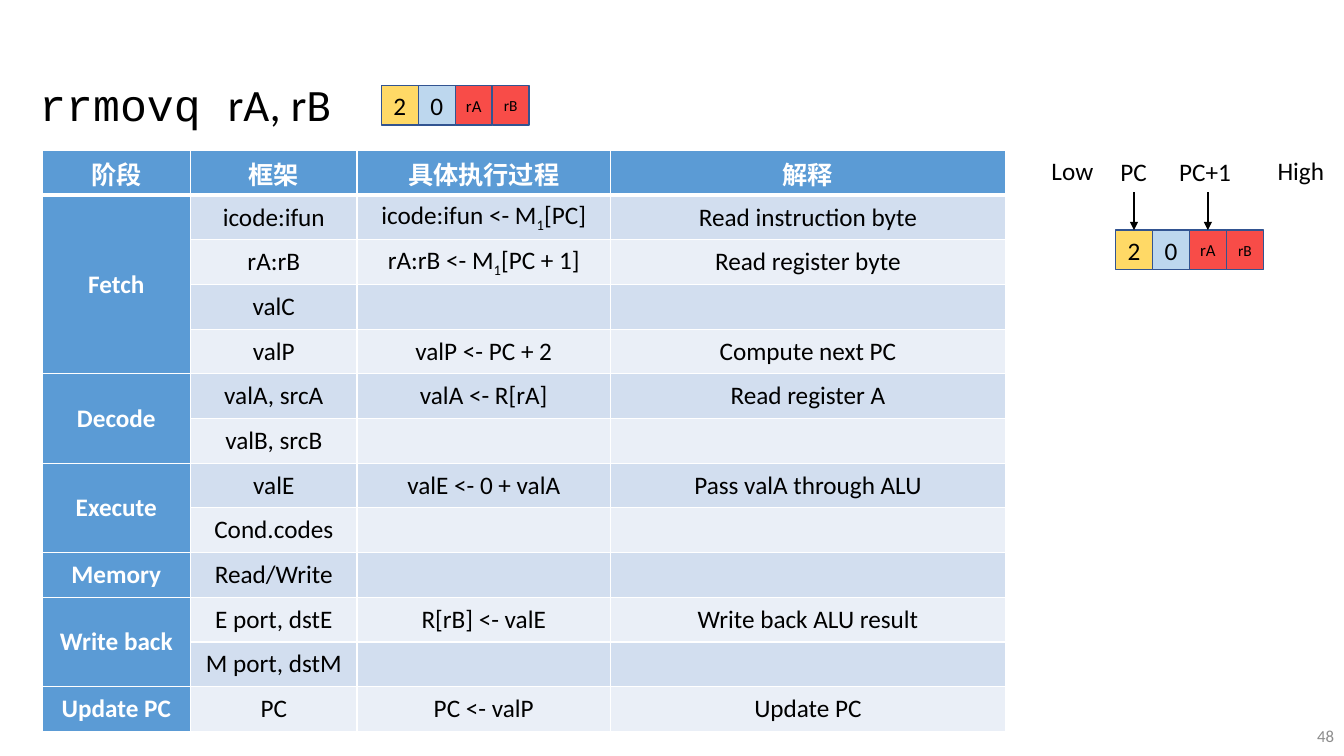
from lxml.etree import SubElement
from pptx import Presentation
from pptx.dml.color import RGBColor
from pptx.enum.shapes import MSO_CONNECTOR, MSO_SHAPE
from pptx.enum.text import MSO_ANCHOR, MSO_AUTO_SIZE, PP_ALIGN
from pptx.oxml.ns import qn
from pptx.util import Inches, Pt

STAGES = [
    ("Fetch", [
        ("icode:ifun", "icode:ifun <- M_1_[PC]", "Read instruction byte"),
        ("rA:rB", "rA:rB <- M_1_[PC + 1]", "Read register byte"),
        ("valC", "", ""),
        ("valP", "valP <- PC + 2", "Compute next PC")]),
    ("Decode", [
        ("valA, srcA", "valA <- R[rA]", "Read register A"),
        ("valB, srcB", "", "")]),
    ("Execute", [
        ("valE", "valE <- 0 + valA", "Pass valA through ALU"),
        ("Cond.codes", "", "")]),
    ("Memory", [("Read/Write", "", "")]),
    ("Write back", [
        ("E port, dstE", "R[rB] <- valE", "Write back ALU result"),
        ("M port, dstM", "", "")]),
    ("Update PC", [("PC", "PC <- valP", "Update PC")]),
]
HEADS = [("阶段", "Calibri"), ("框架", "Calibri"),
         ("具体执行过程", "Courier New"), ("解释", "Calibri")]
BYTES = [("2", "FFD966", 18), ("0", "BDD7EE", 18),
         ("rA", "F84C48", 12), ("rB", "F84C48", 11)]
BLUE, BANDS = "5B9BD5", ("EAEFF7", "D2DEEF")


def paint(hue):
    return RGBColor.from_string(hue)


def write(frame, text, size=18, font="Calibri", hue="000000", bold=False, align=PP_ALIGN.LEFT):
    line = frame.paragraphs[0]
    line.alignment = align
    for spot, part in enumerate(text.split("_")):
        run = line.add_run()
        run.text = part
        run.font.size, run.font.name, run.font.bold = Pt(size), font, bold
        run.font.color.rgb = paint(hue)
        if spot % 2:
            run.font._element.set("baseline", "-25000")


class Board:
    """Draws styled elements on one slide divided into 160 columns and 90 rows."""

    def __init__(self, deck):
        self.slide = deck.slides.add_slide(deck.slide_layouts[6])
        self.shapes = self.slide.shapes
        self.col, self.row = deck.slide_width / 160, deck.slide_height / 90

    def place(self, *spans):
        return [round(span * (self.row if i % 2 else self.col)) for i, span in enumerate(spans)]

    def label(self, area, text, wrap=False, grow=True, **style):
        frame = self.shapes.add_textbox(*self.place(*area)).text_frame
        frame.word_wrap = wrap
        if grow:
            frame.auto_size = MSO_AUTO_SIZE.SHAPE_TO_FIT_TEXT
        else:
            frame.vertical_anchor = MSO_ANCHOR.MIDDLE
        write(frame, text, **style)
        return frame

    def box(self, area, text, fill, size):
        shape = self.shapes.add_shape(MSO_SHAPE.RECTANGLE, *self.place(*area))
        shape.shadow.inherit = False
        shape.fill.solid()
        shape.fill.fore_color.rgb = paint(fill)
        shape.line.color.rgb = paint("325491")
        shape.line.width = Pt(1)
        shape.text_frame.vertical_anchor = MSO_ANCHOR.MIDDLE
        write(shape.text_frame, text, size=size, align=PP_ALIGN.CENTER)
        return shape

    def code(self, left, top):
        wide, high = 4.4, 4.7
        return [self.box((left + i * wide, top, wide, high), *item)
                for i, item in enumerate(BYTES)]

    def arrow(self, box, top):
        mid = box.left + box.width // 2
        line = self.shapes.add_connector(
            MSO_CONNECTOR.STRAIGHT, mid, round(top * self.row), mid, box.top)
        line.end_connect(box, 0)
        line.line.color.rgb = paint("000000")
        line.line.width = Pt(1.5)
        SubElement(line.line._get_or_add_ln(), qn("a:tailEnd"), type="triangle")
        SubElement(line._element.spPr, qn("a:effectLst"))

    def cell(self, cell, text, fill, edges, **style):
        props = cell._tc.get_or_add_tcPr()
        for side in "LRTB":
            edge = SubElement(props, qn("a:ln" + side), w=str(Pt(edges.get(side, 1))))
            SubElement(SubElement(edge, qn("a:solidFill")), qn("a:srgbClr"), val="FFFFFF")
        cell.fill.solid()
        cell.fill.fore_color.rgb = paint(fill)
        cell.vertical_anchor = MSO_ANCHOR.MIDDLE
        write(cell.text_frame, text, align=PP_ALIGN.CENTER, **style)

    def table(self, left, top, widths, high):
        count = 1 + sum(len(steps) for _, steps in STAGES)
        area = self.place(left, top, sum(widths), high * count)
        grid = self.shapes.add_table(count, len(widths), *area).table
        for column, wide in zip(grid.columns, widths):
            column.width = round(wide * self.col)
        for line in grid.rows:
            line.height = round(high * self.row)
        head = dict(hue="FFFFFF", bold=True)
        for x, (text, font) in enumerate(HEADS):
            self.cell(grid.cell(0, x), text, BLUE, {"B": 3}, font=font, **head)
        y = 1
        for stage, steps in STAGES:
            first = y
            for step in steps:
                edges = {"T": 3} if y == 1 else {}
                self.cell(grid.cell(y, 0), stage if y == first else "", BLUE, edges, **head)
                for x, text in enumerate(step, 1):
                    self.cell(grid.cell(y, x), text, BANDS[y % 2], edges)
                y += 1
            if len(steps) > 1:
                grid.cell(first, 0).merge(grid.cell(y - 1, 0))


def main():
    deck = Presentation()
    deck.slide_width, deck.slide_height = Inches(13.33), Inches(7.5)
    board = Board(deck)
    board.label((124, 85.2, 36, 4.8), "48", wrap=True, grow=False,
                size=12, hue="8C8C8C", align=PP_ALIGN.RIGHT)
    title = board.label((3.5, 8.5, 72.8, 7.7), "rrmovq ", wrap=True,
                        size=32, font="Courier New")
    write(title, "rA, rB", size=32)
    board.code(45.4, 10.2)
    board.table(5, 17.9, (17.7, 19.8, 30.2, 47), 5.32)
    boxes = board.code(132.8, 27.4)
    for text, left, top, wide in [("Low", 124, 17.9, 7.4), ("High", 150.9, 17.9, 8),
                                  ("PC", 132.2, 18, 5.6), ("PC+1", 139.2, 18, 9.4)]:
        board.label((left, top, wide, 4.8), text)
    for box in boxes[::2]:
        board.arrow(box, 22.9)
    deck.save("out.pptx")


if __name__ == "__main__":
    main()
